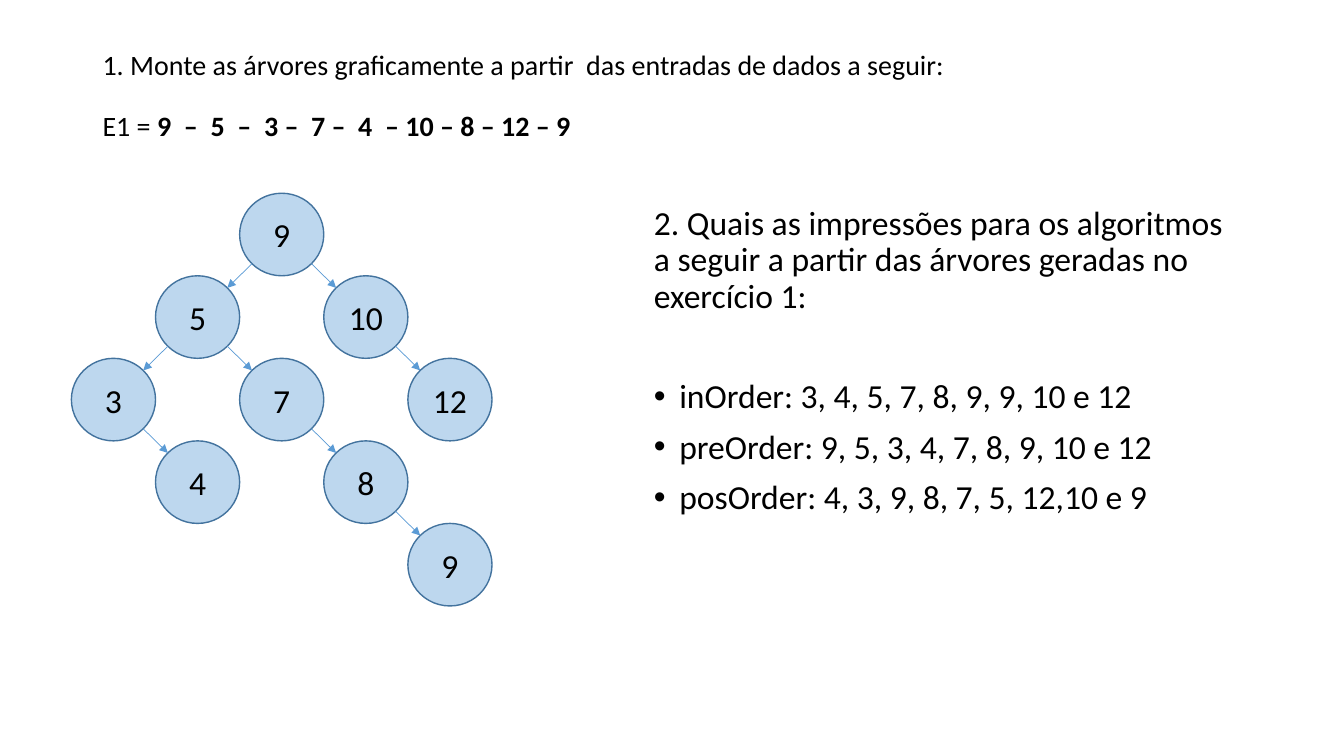
import math
from dataclasses import dataclass

import lxml.etree
import pptx
import pptx.dml.color
import pptx.enum.shapes
import pptx.enum.text
import pptx.oxml.ns
import pptx.shapes.connector
import pptx.slide
import pptx.text.text
import pptx.util

Cm = pptx.util.Cm
Pt = pptx.util.Pt
RGBColor = pptx.dml.color.RGBColor
qn = pptx.oxml.ns.qn


@dataclass(frozen=True)
class Theme:
    font: str = "Calibri"
    ink: RGBColor = RGBColor(0x00, 0x00, 0x00)
    node_fill: RGBColor = RGBColor(0xBD, 0xD7, 0xEE)
    node_outline: RGBColor = RGBColor(0x43, 0x73, 0x9E)
    branch: RGBColor = RGBColor(0x5B, 0x9B, 0xD5)
    heading_size: pptx.util.Length = Pt(20)
    text_size: pptx.util.Length = Pt(24)


@dataclass(frozen=True)
class Node:
    value: int
    column: int
    row: int
    parent: "Node | None" = None


THEME = Theme()
TREE_LEFT, TREE_TOP = 1.8, 4.87
NODE_WIDTH, NODE_HEIGHT = 2.12, 2.08
LINE_SPACING = 0.9

root = Node(9, 2, 0)
five = Node(5, 1, 1, root)
ten = Node(10, 3, 1, root)
three = Node(3, 0, 2, five)
seven = Node(7, 2, 2, five)
twelve = Node(12, 4, 2, ten)
four = Node(4, 1, 3, three)
eight = Node(8, 3, 3, seven)
last_nine = Node(9, 4, 4, eight)
TREE = [root, five, ten, three, seven, twelve, four, eight, last_nine]

QUESTION = (
    "2. Quais as impressões para os algoritmos a seguir "
    "a partir das árvores geradas no exercício 1:"
)
TRAVERSALS = [
    "inOrder: 3, 4, 5, 7, 8, 9, 9, 10 e 12",
    "preOrder: 9, 5, 3, 4, 7, 8, 9, 10 e 12",
    "posOrder: 4, 3, 9, 8, 7, 5, 12,10 e 9",
]


def style_paragraph(
    paragraph: pptx.text.text._Paragraph,
    size: pptx.util.Length,
    space_before: float = 0,
    alignment: pptx.enum.text.PP_ALIGN = pptx.enum.text.PP_ALIGN.LEFT,
) -> None:
    paragraph.font.name = THEME.font
    paragraph.font.size = size
    paragraph.font.color.rgb = THEME.ink
    paragraph.alignment = alignment
    paragraph.space_before = Pt(space_before)


def add_bullet(paragraph: pptx.text.text._Paragraph) -> None:
    properties = paragraph._p.get_or_add_pPr()
    properties.set("marL", str(Cm(0.64)))
    properties.set("indent", str(-Cm(0.64)))
    lxml.etree.SubElement(properties, qn("a:buFont")).set("typeface", "Arial")
    lxml.etree.SubElement(properties, qn("a:buChar")).set("char", "•")
    properties.append(properties.find(qn("a:defRPr")))


def node_center(node: Node) -> tuple[float, float]:
    return (
        TREE_LEFT + (node.column + 0.5) * NODE_WIDTH,
        TREE_TOP + (node.row + 0.5) * NODE_HEIGHT,
    )


def draw_node(slide: pptx.slide.Slide, node: Node) -> None:
    x, y = node_center(node)
    circle = slide.shapes.add_shape(
        pptx.enum.shapes.MSO_SHAPE.OVAL,
        Cm(x - NODE_WIDTH / 2),
        Cm(y - NODE_HEIGHT / 2),
        Cm(NODE_WIDTH),
        Cm(NODE_HEIGHT),
    )
    circle.shadow.inherit = False
    circle.fill.solid()
    circle.fill.fore_color.rgb = THEME.node_fill
    circle.line.color.rgb = THEME.node_outline
    circle.line.width = Pt(1)
    circle.text_frame.vertical_anchor = pptx.enum.text.MSO_ANCHOR.MIDDLE
    label = circle.text_frame.paragraphs[0]
    label.text = str(node.value)
    style_paragraph(label, THEME.text_size, alignment=pptx.enum.text.PP_ALIGN.CENTER)


def draw_branch(slide: pptx.slide.Slide, parent: Node, child: Node) -> None:
    side = 1 if child.column > parent.column else -1
    reach_x = side * NODE_WIDTH / 2 * math.cos(math.pi / 4)
    reach_y = NODE_HEIGHT / 2 * math.sin(math.pi / 4)
    start_x, start_y = node_center(parent)
    end_x, end_y = node_center(child)
    arrow = slide.shapes.add_connector(
        pptx.enum.shapes.MSO_CONNECTOR.STRAIGHT,
        Cm(start_x + reach_x),
        Cm(start_y + reach_y),
        Cm(end_x - reach_x),
        Cm(end_y - reach_y),
    )
    arrow.line.color.rgb = THEME.branch
    arrow.line.width = Pt(0.5)
    properties = arrow._element.spPr
    outline = properties.find(qn("a:ln"))
    lxml.etree.SubElement(outline, qn("a:tailEnd")).set("type", "triangle")
    lxml.etree.SubElement(properties, qn("a:effectLst"))


def write_heading(slide: pptx.slide.Slide) -> None:
    heading = slide.shapes.title
    heading.left, heading.top = Cm(2.33), Cm(1.01)
    heading.width, heading.height = Cm(29.21), Cm(3.68)
    frame = heading.text_frame
    frame.auto_size = pptx.enum.text.MSO_AUTO_SIZE.NONE
    frame.vertical_anchor = pptx.enum.text.MSO_ANCHOR.TOP
    frame.margin_top = Cm(0.29)
    task = frame.paragraphs[0]
    task.text = "1. Monte as árvores graficamente a partir  das entradas de dados a seguir:"
    entries = frame.add_paragraph()
    entries.add_run().text = "E1 = "
    values = entries.add_run()
    values.text = "9  –  5  –  3 –  7 –  4  – 10 – 8 – 12 – 9"
    values.font.bold = True
    for paragraph, space_before in ((task, 0), (entries, 22)):
        style_paragraph(paragraph, THEME.heading_size, space_before)
        paragraph.line_spacing = LINE_SPACING


def write_traversals(slide: pptx.slide.Slide) -> None:
    box = slide.shapes.add_textbox(Cm(16.23), Cm(5.08), Cm(15.29), Cm(12.09))
    frame = box.text_frame
    frame.word_wrap = True
    question = frame.paragraphs[0]
    question.text = QUESTION
    style_paragraph(question, THEME.text_size)
    question.line_spacing = LINE_SPACING
    for index, traversal in enumerate(TRAVERSALS):
        item = frame.add_paragraph()
        item.text = traversal
        style_paragraph(item, THEME.text_size, 10 if index else 46)
        item.line_spacing = LINE_SPACING
        add_bullet(item)


presentation = pptx.Presentation()
presentation.slide_width = Cm(33.87)
presentation.slide_height = Cm(19.05)
exercise = presentation.slides.add_slide(presentation.slide_layouts[5])
write_heading(exercise)
write_traversals(exercise)
for tree_node in TREE:
    draw_node(exercise, tree_node)
for tree_node in TREE:
    if tree_node.parent:
        draw_branch(exercise, tree_node.parent, tree_node)
presentation.save("out.pptx")
